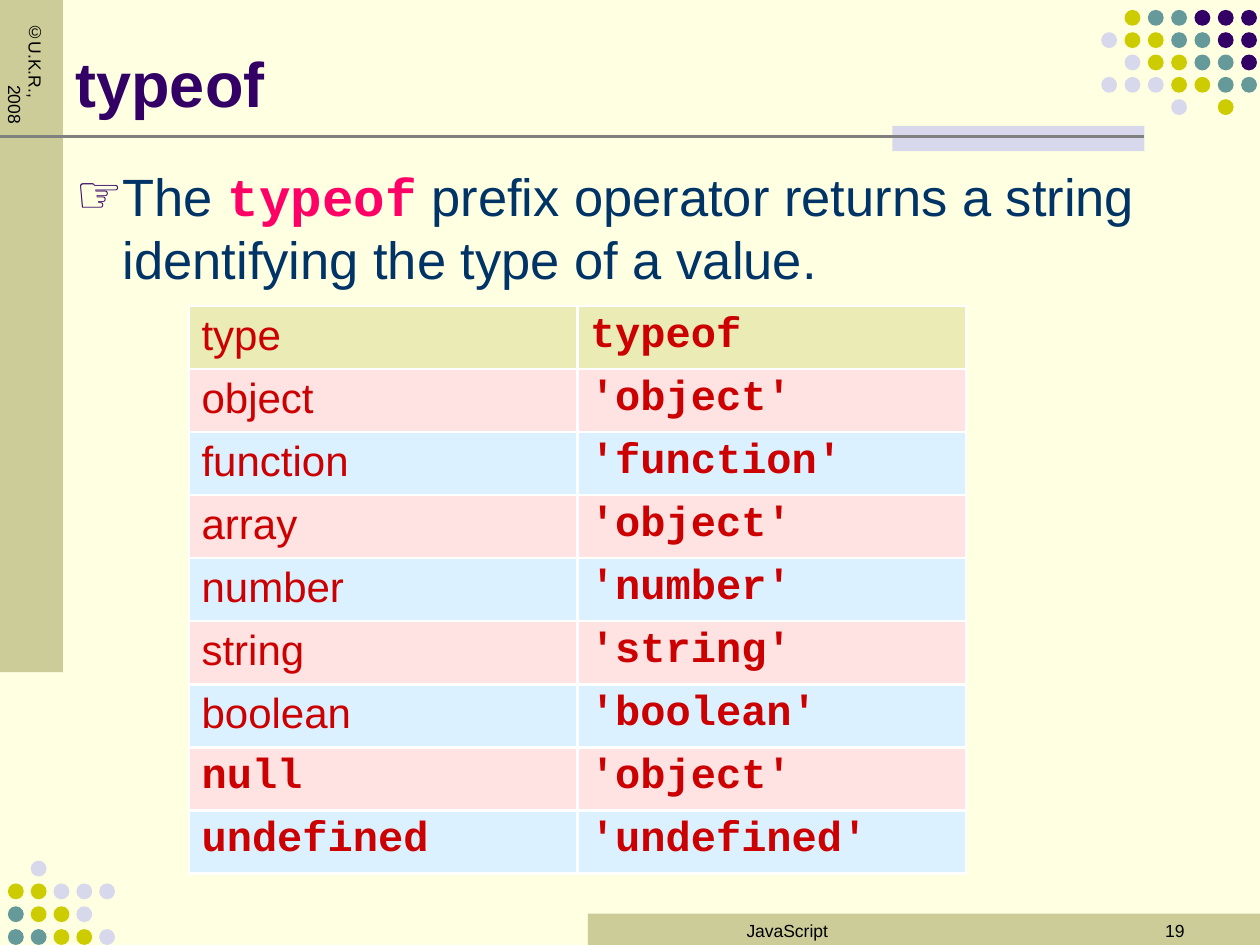
from lxml import etree
from pptx import Presentation
from pptx.dml.color import RGBColor
from pptx.enum.shapes import MSO_CONNECTOR, MSO_SHAPE
from pptx.enum.text import MSO_ANCHOR, MSO_AUTO_SIZE, PP_ALIGN
from pptx.oxml.ns import qn
from pptx.util import Cm, Pt

RECTANGLE, OVAL = MSO_SHAPE.RECTANGLE, MSO_SHAPE.OVAL
LEFT, CENTER, RIGHT = PP_ALIGN.LEFT, PP_ALIGN.CENTER, PP_ALIGN.RIGHT

CREAM = RGBColor(0xFF, 0xFF, 0xE1)
KHAKI = RGBColor(0xCC, 0xCC, 0x99)
PURPLE = RGBColor(0x33, 0x00, 0x66)
TEAL = RGBColor(0x66, 0x99, 0x99)
YELLOW = RGBColor(0xCC, 0xCC, 0x00)
LAVENDER = RGBColor(0xD8, 0xD8, 0xEC)
GRAY = RGBColor(0x80, 0x80, 0x80)
BLACK = RGBColor(0x00, 0x00, 0x00)
WHITE = RGBColor(0xFF, 0xFF, 0xFF)
NAVY = RGBColor(0x00, 0x33, 0x66)
PINK = RGBColor(0xFF, 0x00, 0x66)
RED = RGBColor(0xCC, 0x00, 0x00)
HEADER_FILL = RGBColor(0xEB, 0xEB, 0xB5)
ROSE_FILL = RGBColor(0xFF, 0xE3, 0xE3)
SKY_FILL = RGBColor(0xDB, 0xF1, 0xFF)

SANS, MONO = "Arial", "Courier New"

DOT_COLORS = {"P": PURPLE, "T": TEAL, "Y": YELLOW, "L": LAVENDER}
TOP_DOTS = [".YTTPPP", "LYYTTPP", ".LYYTTP", "LLLYYTT", "...L.Y."]
BOTTOM_DOTS = [".L...", "YYLLL", "TYYL.", "TTYYL"]

TYPE_ROWS = [
    ("type", "typeof"),
    ("object", "'object'"),
    ("function", "'function'"),
    ("array", "'object'"),
    ("number", "'number'"),
    ("string", "'string'"),
    ("boolean", "'boolean'"),
    ("null", "'object'"),
    ("undefined", "'undefined'"),
]
KEYWORDS = ("null", "undefined")


def format_font(font, size, color, name=SANS, bold=False):
    font.size = Pt(size)
    font.name = name
    font.bold = bold
    font.color.rgb = color


def add_filled_shape(slide, kind, left, top, width, height, color):
    shape = slide.shapes.add_shape(kind, Cm(left), Cm(top), Cm(width), Cm(height))
    shape.shadow.inherit = False
    shape.fill.solid()
    shape.fill.fore_color.rgb = color
    shape.line.fill.background()


def add_dots(slide, pattern, left, top, column_pitch, row_pitch):
    """Draw one dot per letter of the pattern; a full stop leaves a gap."""
    for row, letters in enumerate(pattern):
        for column, letter in enumerate(letters):
            if letter in DOT_COLORS:
                add_filled_shape(slide, OVAL, left + column * column_pitch,
                                 top + row * row_pitch, 0.32, 0.32, DOT_COLORS[letter])


def add_rule(slide, left, right, top):
    line = slide.shapes.add_connector(
        MSO_CONNECTOR.STRAIGHT, Cm(left), Cm(top), Cm(right), Cm(top))
    line.line.color.rgb = GRAY
    line.line.width = Pt(1.5)
    etree.SubElement(line._element.spPr, qn("a:effectLst"))


def add_small_text(slide, text, left, top, width, height, alignment):
    box = slide.shapes.add_textbox(Cm(left), Cm(top), Cm(width), Cm(height))
    text_frame = box.text_frame
    text_frame.word_wrap = True
    text_frame.text = text
    paragraph = text_frame.paragraphs[0]
    paragraph.alignment = alignment
    format_font(paragraph.runs[0].font, 10, BLACK)
    return text_frame


def set_hanging_indent(paragraph, indent):
    properties = paragraph._p.get_or_add_pPr()
    properties.set("marL", str(Cm(indent)))
    properties.set("indent", str(-Cm(indent)))
    return properties


def add_copyright(slide):
    text_frame = add_small_text(slide, "©U.K.R., 2008", 0.64, 0.2, 0.43, 2.75, LEFT)
    text_frame.margin_left = text_frame.margin_right = Cm(0.13)
    text_frame.margin_top = text_frame.margin_bottom = Cm(0.25)
    text_frame._txBody.bodyPr.set("vert", "eaVert")
    set_hanging_indent(text_frame.paragraphs[0], 1.27)


def place(shape, left, top, width, height, anchor):
    shape.left, shape.top = Cm(left), Cm(top)
    shape.width, shape.height = Cm(width), Cm(height)
    shape.text_frame.auto_size = MSO_AUTO_SIZE.NONE
    shape.text_frame.vertical_anchor = anchor


def fill_title(title):
    place(title, 1.27, 0.33, 20.96, 2.21, MSO_ANCHOR.BOTTOM)
    title.text_frame.text = "typeof"
    paragraph = title.text_frame.paragraphs[0]
    paragraph.alignment = LEFT
    format_font(paragraph.runs[0].font, 36, PURPLE, bold=True)


def fill_body(body):
    place(body, 1.27, 3.18, 23.7, 14.4, MSO_ANCHOR.TOP)
    paragraph = body.text_frame.paragraphs[0]
    properties = set_hanging_indent(paragraph, 0.95)
    bullet_color = etree.SubElement(properties, qn("a:buClr"))
    etree.SubElement(bullet_color, qn("a:srgbClr"), val=str(PURPLE))
    etree.SubElement(properties, qn("a:buChar"), char="☞")
    paragraph.space_before = Pt(0)
    for text, color, name, bold in (
        ("The ", NAVY, SANS, False),
        ("typeof", PINK, MONO, True),
        (" prefix operator returns a string identifying the type of a value.",
         NAVY, SANS, False),
    ):
        run = paragraph.add_run()
        run.text = text
        format_font(run.font, 30, color, name, bold)


def add_cell_borders(cell):
    properties = cell._tc.get_or_add_tcPr()
    for side in ("lnL", "lnR", "lnT", "lnB"):
        border = etree.SubElement(properties, qn(f"a:{side}"), w=str(Pt(1.5)))
        fill = etree.SubElement(border, qn("a:solidFill"))
        etree.SubElement(fill, qn("a:srgbClr"), val=str(WHITE))


def fill_cell(cell, text, color, is_code):
    add_cell_borders(cell)
    cell.fill.solid()
    cell.fill.fore_color.rgb = color
    cell.text_frame.text = text
    font = cell.text_frame.paragraphs[0].runs[0].font
    format_font(font, 24, RED, MONO if is_code else SANS, is_code)


def add_type_table(slide):
    row_count = len(TYPE_ROWS)
    table = slide.shapes.add_table(row_count, 2, Cm(3.81), Cm(6.17), Cm(15.66),
                                   Cm(1.27 * row_count)).table
    table.first_row = table.horz_banding = False
    for row, texts in enumerate(TYPE_ROWS):
        color = HEADER_FILL if row == 0 else (SKY_FILL, ROSE_FILL)[row % 2]
        for column, text in enumerate(texts):
            fill_cell(table.cell(row, column), text, color,
                      column == 1 or text in KEYWORDS)


def main():
    presentation = Presentation()
    presentation.slide_width, presentation.slide_height = Cm(25.4), Cm(19.05)
    slide = presentation.slides.add_slide(presentation.slide_layouts[1])
    slide.background.fill.solid()
    slide.background.fill.fore_color.rgb = CREAM

    add_filled_shape(slide, RECTANGLE, 11.85, 18.42, 13.55, 0.63, KHAKI)
    add_dots(slide, TOP_DOTS, 22.2, 0.2, 0.47, 0.45)
    add_filled_shape(slide, RECTANGLE, 0, 0, 1.27, 13.55, KHAKI)
    add_filled_shape(slide, RECTANGLE, 17.99, 2.54, 5.08, 0.51, LAVENDER)
    add_rule(slide, 0, 23.07, 2.75)
    add_copyright(slide)
    add_dots(slide, BOTTOM_DOTS, 0.16, 17.35, 0.46, 0.46)

    add_small_text(slide, "JavaScript", 11.85, 18.42, 8.04, 1.27, CENTER)
    add_small_text(slide, "19", 18.2, 18.42, 5.93, 1.27, RIGHT)
    fill_title(slide.shapes.title)
    fill_body(slide.placeholders[1])
    add_type_table(slide)
    presentation.save("out.pptx")


if __name__ == "__main__":
    main()
